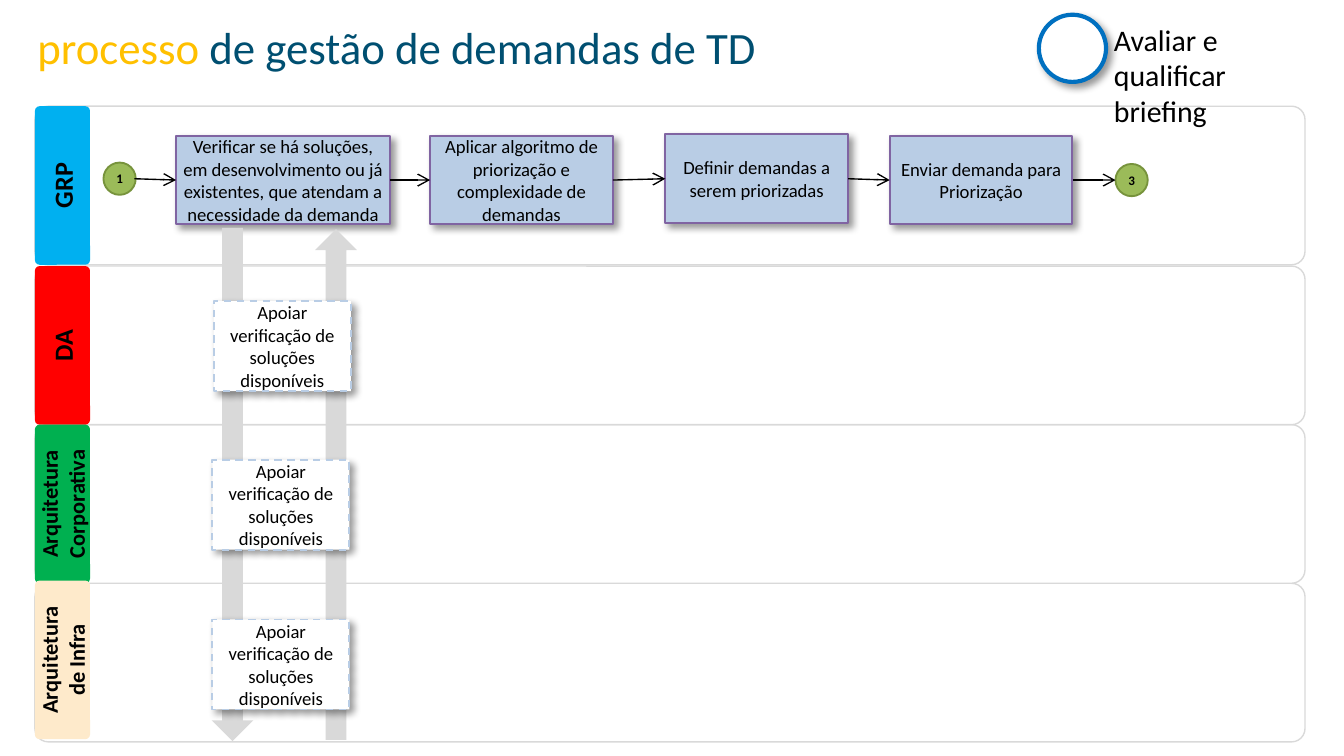
from pptx import Presentation
from pptx.dml.color import RGBColor
from pptx.enum.dml import MSO_LINE
from pptx.enum.shapes import MSO_CONNECTOR, MSO_SHAPE
from pptx.enum.text import MSO_ANCHOR, MSO_AUTO_SIZE, PP_ALIGN
from pptx.oxml import parse_xml
from pptx.oxml.ns import nsdecls
from pptx.util import Inches, Pt

COLORS = {
    "white": "FFFFFF", "black": "000000", "gray": "D9D9D9",
    "gold": "FFC000", "navy": "004F71", "ring": "0070C0",
    "task": "B9CDE5", "task_line": "8064A2",
    "event": "9BBB59", "event_line": "77933C",
    "grp": "00B0F0", "da": "FF0000", "corp": "00B050", "infra": "FEEACB",
}
SHADOW = (
    f'<a:outerShdw {nsdecls("a")} blurRad="50800" dist="38100" dir="2700000" algn="tl" rotWithShape="0">'
    '<a:srgbClr val="000000"><a:alpha val="40000"/></a:srgbClr></a:outerShdw>'
)


def rgb(name):
    return RGBColor.from_string(COLORS[name])


class Flow:
    font = "Calibri"

    def __init__(self, slide):
        self.slide = slide

    def style(self, font, size, color="black", bold=False):
        font.name, font.size, font.bold = self.font, Pt(size), bold
        font.color.rgb = rgb(color)

    def shape(self, kind, box, fill, line=None, width=1, shadow=False):
        sp = self.slide.shapes.add_shape(kind, *map(Inches, box))
        sp.fill.solid()
        sp.fill.fore_color.rgb = rgb(fill)
        if line:
            sp.line.color.rgb = rgb(line)
            sp.line.width = Pt(width)
        else:
            sp.line.fill.background()
        sp.shadow.inherit = False
        if shadow:
            sp._element.spPr.effectLst.append(parse_xml(SHADOW))
        return sp

    def label(self, sp, text, size, bold=False, inset=0.04):
        tf = sp.text_frame
        tf.word_wrap = True
        tf.vertical_anchor = MSO_ANCHOR.MIDDLE
        tf.margin_left = tf.margin_right = Inches(inset)
        tf.margin_top = tf.margin_bottom = Inches(inset)
        p = tf.paragraphs[0]
        p.text, p.alignment = text, PP_ALIGN.CENTER
        self.style(p.font, size, bold=bold)

    def rounded(self, box, fill, line=None):
        sp = self.shape(MSO_SHAPE.ROUNDED_RECTANGLE, box, fill, line, 0.75)
        sp.adjustments[0] = 0.084
        return sp

    def lane_label(self, top, text, size, fill):
        sp = self.rounded((0.26, top, 0.41, 1.18), fill)
        self.label(sp, text, size, bold=True, inset=0.05)
        sp.text_frame._txBody.bodyPr.set("vert", "vert270")

    def task(self, box, text):
        sp = self.shape(MSO_SHAPE.RECTANGLE, box, "task", "task_line", shadow=True)
        self.label(sp, text, 10)

    def support(self, left, top):
        sp = self.shape(MSO_SHAPE.RECTANGLE, (left, top, 1.02, 0.67), "white", "task", shadow=True)
        sp.line.dash_style = MSO_LINE.DASH
        self.label(sp, "Apoiar verificação de soluções disponíveis", 10)

    def event(self, left, top, text):
        sp = self.shape(MSO_SHAPE.OVAL, (left, top, 0.24, 0.24), "event", "event_line")
        self.label(sp, text, 7, bold=True, inset=0)

    def block_arrow(self, box, rotation):
        self.shape(MSO_SHAPE.RIGHT_ARROW, box, "gray").rotation = rotation

    def arrow(self, *ends):
        s = self.slide.shapes.add_connector(MSO_CONNECTOR.STRAIGHT, *map(Inches, ends))
        s.line.color.rgb = rgb("black")
        s.line.width = Pt(0.75)
        spPr = s._element.spPr
        spPr.ln.append(parse_xml(f'<a:tailEnd {nsdecls("a")} type="arrow"/>'))
        spPr.append(parse_xml(f'<a:effectLst {nsdecls("a")}/>'))

    def text(self, box, size, paragraphs):
        tf = self.slide.shapes.add_textbox(*map(Inches, box)).text_frame
        tf.word_wrap = True
        tf.auto_size = MSO_AUTO_SIZE.SHAPE_TO_FIT_TEXT
        for i, runs in enumerate(paragraphs):
            p = tf.add_paragraph() if i else tf.paragraphs[0]
            for content, color in runs:
                r = p.add_run()
                r.text = content
                self.style(r.font, size, color)


# 16:9 slide
prs = Presentation()
prs.slide_width = Inches(10)
prs.slide_height = prs.slide_width * 9 // 16
flow = Flow(prs.slides.add_slide(prs.slide_layouts[6]))

# Title
flow.text((0.18, 0.1, 8.81, 0.5), 24,
          [[("processo ", "gold"), ("de gestão de demandas de TD", "navy")]])

# Swimlanes: lane top, label top, label
lanes = [
    (4.34, 4.32, "Arquitetura de Infra", 12, "infra"),
    (3.16, 3.16, "Arquitetura Corporativa", 12, "corp"),
    (1.98, 1.98, "DA", 14, "da"),
    (0.79, 0.79, "GRP", 14, "grp"),
]
for top, *_ in lanes:
    flow.rounded((0.26, top, 9.45, 1.18), "white", "gray")
for _, *lane in reversed(lanes):
    flow.lane_label(*lane)

# Tasks of the GRP lane
tasks = [
    (1.31, 1.01, 1.59, "Verificar se há soluções, em desenvolvimento ou já existentes, "
                       "que atendam a necessidade da demanda"),
    (3.2, 1.01, 1.36, "Aplicar algoritmo de priorização e complexidade de demandas"),
    (4.95, 1, 1.36, "Definir demandas a serem priorizadas"),
    (6.62, 1.01, 1.36, "Enviar demanda para Priorização"),
]
for left, top, width, text in tasks:
    flow.task((left, top, width, 0.66), text)

# Start and end events
flow.event(0.77, 1.21, "1")
flow.event(8.3, 1.22, "3")

# Arrows from each step's right edge to the next step's left edge
starts = [(1, 1.33)] + [(left + width, top + 0.33) for left, top, width, _ in tasks]
ends = [(left, top + 0.33) for left, top, *_ in tasks] + [(8.3, 1.34)]
for start, end in zip(starts, ends):
    flow.arrow(*start, *end)

# Vertical exchange with the supporting lanes
flow.block_arrow((-0.18, 3.45, 3.82, 0.31), 90)
flow.block_arrow((0.6, 3.45, 3.8, 0.31), 270)
for left, top in [(1.59, 2.24), (1.58, 3.42), (1.58, 4.61)]:
    flow.support(left, top)

# Current stage
flow.shape(MSO_SHAPE.OVAL, (7.73, 0.11, 0.5, 0.5), "white", "ring", 2.25, shadow=True)
flow.text((8.19, 0.11, 1.67, 0.64), 16,
          [[("Avaliar e", "black")], [("qualificar briefing", "black")]])

prs.save("out.pptx")
